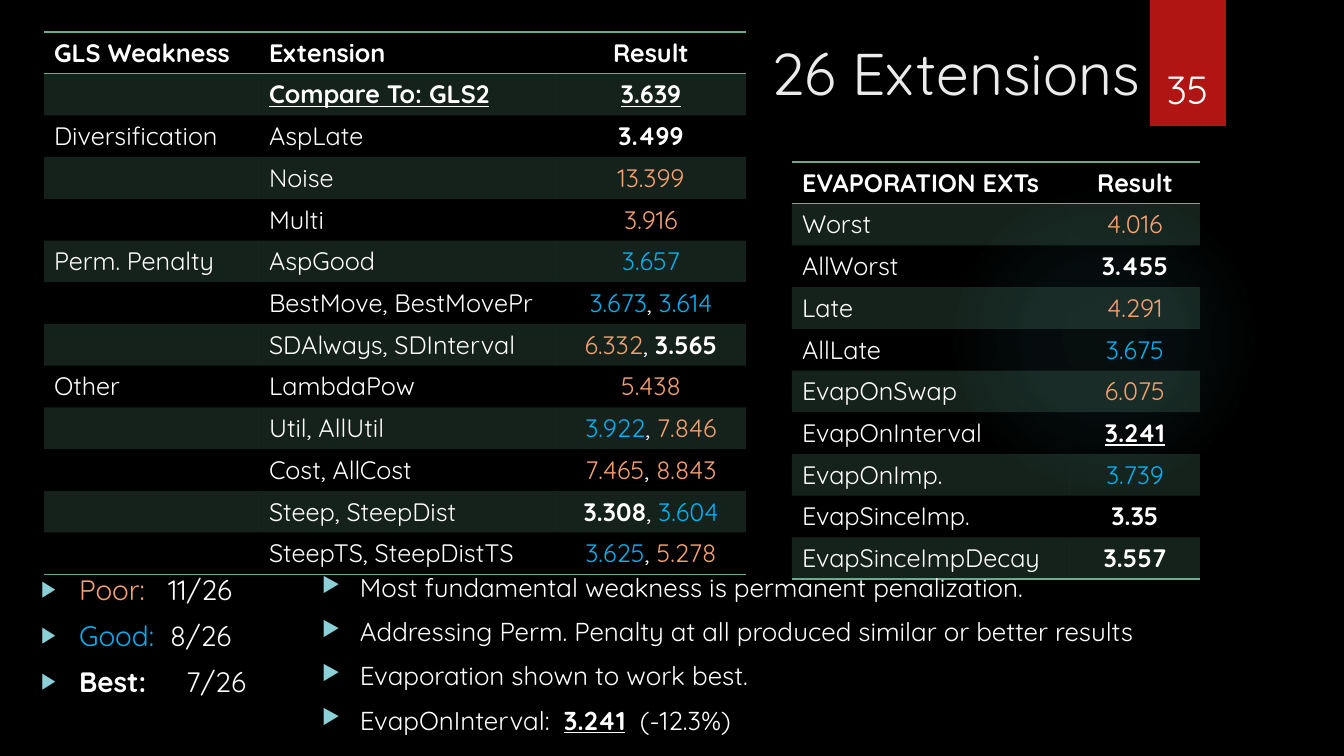
from lxml import etree
from pptx import Presentation
from pptx.dml.color import RGBColor
from pptx.enum.shapes import MSO_SHAPE
from pptx.enum.text import MSO_ANCHOR, MSO_AUTO_SIZE, PP_ALIGN
from pptx.oxml import parse_xml
from pptx.oxml.ns import qn
from pptx.util import Emu, Pt

LEFT, CENTER = PP_ALIGN.LEFT, PP_ALIGN.CENTER
TOP, BOTTOM = MSO_ANCHOR.TOP, MSO_ANCHOR.BOTTOM
RECTANGLE, ELLIPSE = MSO_SHAPE.RECTANGLE, MSO_SHAPE.OVAL
NO_FIT = MSO_AUTO_SIZE.NONE

WIDTH, HEIGHT = 1344, 756
SCALE = 12192000 / WIDTH
FONT = "Quicksand"
NAMESPACE = 'xmlns:a="http://schemas.openxmlformats.org/drawingml/2006/main"'
PLAIN_TABLE = "{2D5ABB26-0587-4C30-8999-92F81FD0307C}"
COLORS = {
    "background": "000000", "white": "FFFFFF", "title": "EBEBEB",
    "poor": "F4A16F", "good": "00B0F0", "green": "6AAC90",
    "red": "B01513", "bullet": "8AD0D6", "glow": "50B9C1",
}
# Style name: colour, bold, underlined
STYLES = {
    "plain": ("white", False, False), "title": ("title", False, False),
    "poor": ("poor", False, False), "good": ("good", False, False),
    "best": ("white", True, False), "top": ("white", True, True),
}

# Results carry their style after the value
WEAKNESS_ROWS = [
    ("GLS Weakness", "Extension", "Result best"),
    ("", "Compare To: GLS2", "3.639 top"),
    ("Diversification", "AspLate", "3.499 best"),
    ("", "Noise", "13.399 poor"),
    ("", "Multi", "3.916 poor"),
    ("Perm. Penalty", "AspGood", "3.657 good"),
    ("", "BestMove, BestMovePr", "3.673 good, 3.614 good"),
    ("", "SDAlways, SDInterval", "6.332 poor, 3.565 best"),
    ("Other", "LambdaPow", "5.438 poor"),
    ("", "Util, AllUtil", "3.922 good, 7.846 poor"),
    ("", "Cost, AllCost", "7.465 poor, 8.843 poor"),
    ("", "Steep, SteepDist", "3.308 best, 3.604 good"),
    ("", "SteepTS, SteepDistTS", "3.625 good, 5.278 poor"),
]
EVAPORATION_ROWS = [
    ("EVAPORATION EXTs", "Result best"),
    ("Worst", "4.016 poor"),
    ("AllWorst", "3.455 best"),
    ("Late", "4.291 poor"),
    ("AllLate", "3.675 good"),
    ("EvapOnSwap", "6.075 poor"),
    ("EvapOnInterval", "3.241 top"),
    ("EvapOnImp.", "3.739 good"),
    ("EvapSinceImp.", "3.35 best"),
    ("EvapSinceImpDecay", "3.557 best"),
]
# Each list item: spans, tab stops in px
TALLY = [
    ([("Poor:", "poor"), ("\t11/26", "plain")], [127]),
    ([("Good:", "good"), ("\t8/26", "plain")], [129]),
    ([("Best:", "best"), ("\t7/26", "plain")], [145]),
]
FINDINGS = [
    ([("Most fundamental weakness is permanent penalization.", "plain")], []),
    ([("Addressing Perm. Penalty at all produced similar or better results", "plain")], []),
    ([("Evaporation shown to work best.", "plain")], []),
    ([("EvapOnInterval:\t", "plain"), ("3.241", "top"), ("\t(-12.3%)", "plain")], [242, 318]),
]


def px(length):
    return Emu(round(length * SCALE))


def color(name):
    return RGBColor.from_string(COLORS[name])


def make_xml(markup):
    return parse_xml(f"<a:wrap {NAMESPACE}>{markup}</a:wrap>")[0]


def result_spans(text):
    spans = []
    for part in text.split(", "):
        if spans:
            spans.append((", ", "plain"))
        spans.append(tuple(part.split(" ")))
    return spans


class SlideBuilder:
    def __init__(self, page):
        self.page = page
        page.background.fill.solid()
        page.background.fill.fore_color.rgb = color("background")

    def add_spans(self, para, spans, size, align=LEFT):
        para.alignment = align
        para.font.name, para.font.size = FONT, Pt(size)
        for text, style in spans:
            name, bold, underline = STYLES[style]
            span = para.add_run()
            span.text = text
            span.font.color.rgb = color(name)
            span.font.bold, span.font.underline = bold, underline

    def shape(self, kind, left, top, width, height, fill):
        shape = self.page.shapes.add_shape(kind, px(left), px(top), px(width), px(height))
        shape.shadow.inherit = False
        shape.fill.solid()
        shape.fill.fore_color.rgb = color(fill)
        shape.line.fill.background()
        return shape

    def glow(self, left, top, size):
        shape = self.shape(ELLIPSE, left, top, size, size, "glow")
        stops = "".join(
            f'<a:gs pos="{position}000"><a:srgbClr val="{COLORS["glow"]}">'
            f'<a:alpha val="{alpha}000"/></a:srgbClr></a:gs>'
            for position, alpha in ((0, 7), (36, 6), (69, 0)))
        properties = shape.element.spPr
        properties.replace(properties.find(qn("a:solidFill")), make_xml(
            f'<a:gradFill><a:gsLst>{stops}</a:gsLst><a:path path="circle">'
            '<a:fillToRect l="50000" t="50000" r="50000" b="50000"/></a:path></a:gradFill>'))

    def ribbon(self, left, top, width, height):
        shape = self.shape(RECTANGLE, left, top, width, height, "red")
        shape.element.spPr.find(qn("a:effectLst")).append(make_xml(
            '<a:outerShdw blurRad="38100" dist="25400" dir="5400000">'
            '<a:srgbClr val="000000"><a:alpha val="45000"/></a:srgbClr></a:outerShdw>'))

    def frame(self, box, left, top, width, height, anchor=TOP):
        box.left, box.top, box.width, box.height = map(px, (left, top, width, height))
        box.text_frame.word_wrap = True
        box.text_frame.auto_size = NO_FIT
        box.text_frame.vertical_anchor = anchor
        return box.text_frame

    def text_box(self, *place):
        return self.frame(self.page.shapes.add_textbox(0, 0, 0, 0), *place)

    def bullets(self, frame, items, size, gap):
        for index, (spans, stops) in enumerate(items):
            para = frame.add_paragraph() if index else frame.paragraphs[0]
            para.space_before = Pt(gap)
            properties = para._p.get_or_add_pPr()
            properties.set("marL", str(px(38)))
            properties.set("indent", str(px(-38)))
            for markup in (f'<a:buClr><a:srgbClr val="{COLORS["bullet"]}"/></a:buClr>',
                           '<a:buSzPct val="80000"/>', '<a:buChar char="▶"/>'):
                properties.append(make_xml(markup))
            if stops:
                tabs = etree.SubElement(properties, qn("a:tabLst"))
                for stop in stops:
                    etree.SubElement(tabs, qn("a:tab"), pos=str(px(stop)), algn="l")
            self.add_spans(para, spans, size)

    def border(self, cell, side):
        cell._tc.get_or_add_tcPr().append(make_xml(
            f'<a:{side} w="12700"><a:solidFill><a:srgbClr val="{COLORS["green"]}"/>'
            f'</a:solidFill></a:{side}>'))

    def table(self, left, top, widths, row_height, rows):
        table = self.page.shapes.add_table(
            len(rows), len(widths), px(left), px(top),
            px(sum(widths)), px(row_height * len(rows))).table
        table.first_row = table.horz_banding = False
        table._tbl.tblPr.find(qn("a:tableStyleId")).text = PLAIN_TABLE
        for column, width in zip(table.columns, widths):
            column.width = px(width)
        last_row, last_column = len(rows) - 1, len(widths) - 1
        for y, row in enumerate(rows):
            table.rows[y].height = px(row_height)
            for x, text in enumerate(row):
                cell = table.cell(y, x)
                para = cell.text_frame.paragraphs[0]
                if x == last_column:
                    self.add_spans(para, result_spans(text), 18, CENTER)
                elif text:
                    style = "best" if y == 0 else "top" if text.startswith("Compare") else "plain"
                    self.add_spans(para, [(text, style)], 18)
                # Borders come before the fill in a cell
                if y == 0:
                    self.border(cell, "lnT")
                if y in (0, last_row):
                    self.border(cell, "lnB")
                if y % 2:
                    cell.fill.solid()
                    cell.fill.fore_color.rgb = color("green")
                    tint = cell._tc.tcPr.find(qn("a:solidFill"))[0]
                    tint.append(make_xml('<a:alpha val="20000"/>'))
                else:
                    cell.fill.background()


def main():
    deck = Presentation()
    deck.slide_width, deck.slide_height = px(WIDTH), px(HEIGHT)
    page = deck.slides.add_slide(deck.slide_layouts[1])
    builder = SlideBuilder(page)

    # Backdrop
    builder.glow(949, 184, 310)
    builder.ribbon(1150, 0, 76, 126)

    # Title and page number
    title = builder.frame(page.shapes.title, 761, 32, 583, 99)
    builder.add_spans(title.paragraphs[0], [("26 Extensions", "title")], 42)
    number = builder.text_box(1141, 32, 93, 85, BOTTOM)
    builder.add_spans(number.paragraphs[0], [("35", "plain")], 28, CENTER)

    # Result tables
    builder.table(44, 32, (215, 297, 190), 41, WEAKNESS_ROWS)
    builder.table(792, 162, (278, 130), 41, EVAPORATION_ROWS)

    # Tally and findings
    tally = builder.frame(page.placeholders[1], 31, 567, 264, 180)
    builder.bullets(tally, TALLY, 20, 9)
    findings = builder.text_box(312, 567, 920, 180)
    builder.bullets(findings, FINDINGS, 18.5, 9.25)

    deck.save("out.pptx")


if __name__ == "__main__":
    main()
